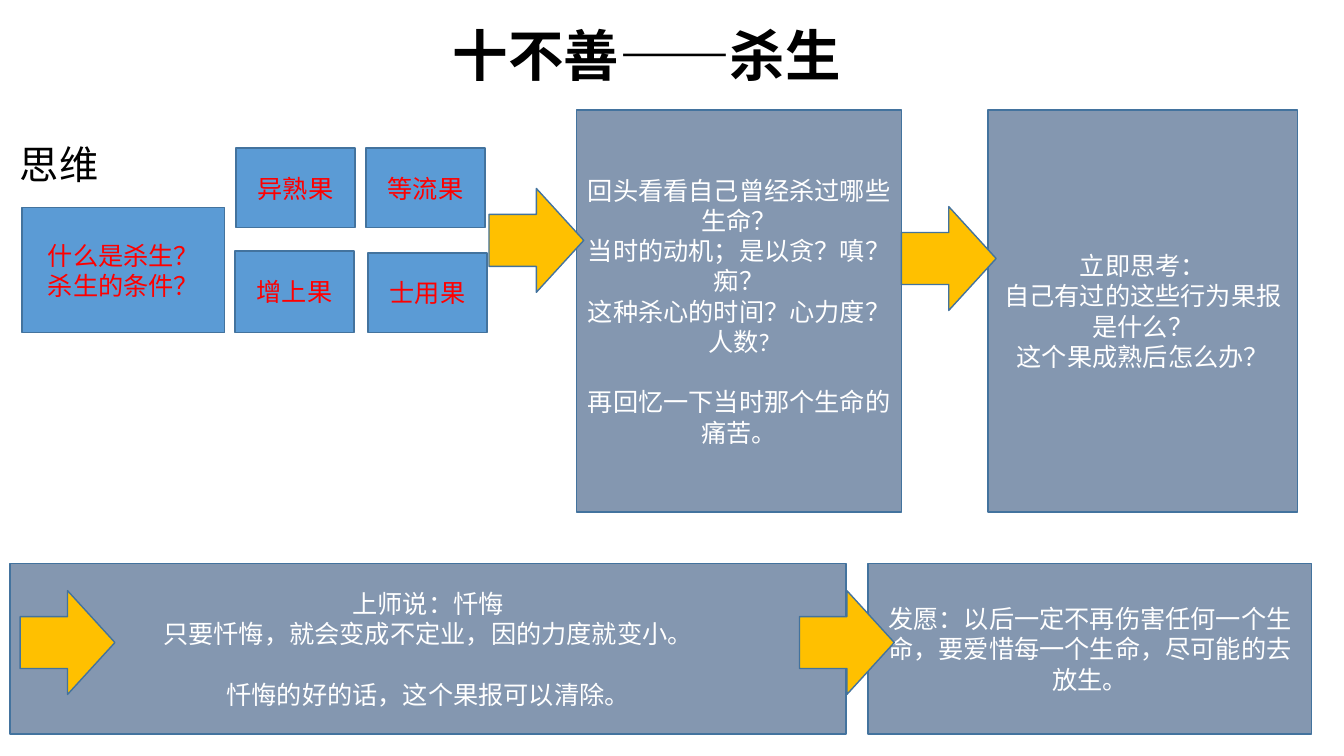
import pptx
import pptx.util
import pptx.dml.color
import pptx.enum.shapes
import pptx.enum.text
from dataclasses import dataclass

Inches = pptx.util.Inches
Pt = pptx.util.Pt
RGBColor = pptx.dml.color.RGBColor
MSO_SHAPE = pptx.enum.shapes.MSO_SHAPE
MSO_ANCHOR = pptx.enum.text.MSO_ANCHOR
PP_ALIGN = pptx.enum.text.PP_ALIGN


@dataclass(frozen=True)
class Theme:
    black: RGBColor = RGBColor.from_string("000000")
    white: RGBColor = RGBColor.from_string("FFFFFF")
    red: RGBColor = RGBColor.from_string("FF0000")
    blue: RGBColor = RGBColor.from_string("5B9BD5")
    slate: RGBColor = RGBColor.from_string("8497B0")
    amber: RGBColor = RGBColor.from_string("FFC000")
    outline: RGBColor = RGBColor.from_string("43739E")
    title_font: str = "Montserrat"
    body_font: str = "Calibri"
    title_size: Pt = Pt(39.6)
    heading_size: Pt = Pt(28)
    text_size: Pt = Pt(18)
    section_gap: Pt = Pt(21.6)


theme = Theme()


def write(frame, lines, font, size, color, align, bold=False):
    frame.word_wrap = True
    frame.auto_size = pptx.enum.text.MSO_AUTO_SIZE.NONE
    for index, line in enumerate(lines):
        paragraph = frame.paragraphs[0] if index == 0 else frame.add_paragraph()
        paragraph.text = line
        paragraph.alignment = align
        paragraph.font.name = font
        paragraph.font.size = size
        paragraph.font.bold = bold
        paragraph.font.color.rgb = color


def add_block(kind, place, fill):
    shape = slide.shapes.add_shape(kind, *map(Inches, place))
    shape.shadow.inherit = False
    shape.fill.solid()
    shape.fill.fore_color.rgb = fill
    shape.line.color.rgb = theme.outline
    shape.line.width = Pt(1)
    return shape


presentation = pptx.Presentation()
presentation.slide_width = Inches(13.33)
presentation.slide_height = Inches(7.5)
slide = presentation.slides.add_slide(presentation.slide_layouts[5])

title = slide.shapes.title
title.left, title.top, title.width, title.height = map(Inches, (1.14, 0.27, 10.55, 0.62))
title.text_frame.vertical_anchor = MSO_ANCHOR.MIDDLE
write(title.text_frame, ["十不善——杀生"], theme.title_font, theme.title_size,
      theme.black, PP_ALIGN.CENTER, bold=True)
title.text_frame.paragraphs[0].line_spacing = 0.9

heading = slide.shapes.add_textbox(Inches(0.1), Inches(1.4), Inches(2), Inches(0.55))
write(heading.text_frame, ["思维"], theme.body_font, theme.heading_size,
      theme.black, PP_ALIGN.LEFT)
heading.text_frame.paragraphs[0].line_spacing = 0.9

concepts = [
    ((0.22, 2.06, 2.01, 1.24), ["什么是杀生？", "杀生的条件？"]),
    ((2.34, 1.47, 1.18, 0.79), ["异熟果"]),
    ((3.63, 1.47, 1.18, 0.79), ["等流果"]),
    ((2.33, 2.49, 1.18, 0.81), ["增上果"]),
    ((3.65, 2.51, 1.18, 0.79), ["士用果"]),
]
reflections = [
    ((5.72, 1.09, 3.22, 3.99), [
        "回头看看自己曾经杀过哪些生命？",
        "当时的动机；是以贪？嗔？痴？",
        "这种杀心的时间？心力度？人数?",
        "再回忆一下当时那个生命的痛苦。",
    ]),
    ((9.8, 1.09, 3.07, 3.99), [
        "立即思考：",
        "自己有过的这些行为果报是什么？",
        "这个果成熟后怎么办？",
    ]),
    ((0.1, 5.59, 8.29, 1.69), [
        "上师说：忏悔",
        "只要忏悔，就会变成不定业，因的力度就变小。",
        "忏悔的好的话，这个果报可以清除。",
    ]),
    ((8.61, 5.59, 4.4, 1.69), [
        "发愿：以后一定不再伤害任何一个生命，要爱惜每一个生命，尽可能的去放生。",
    ]),
]
separate_endings = ("再回忆一下当时那个生命的痛苦。", "忏悔的好的话，这个果报可以清除。")

for blocks, fill, color in (
    (concepts, theme.blue, theme.red),
    (reflections, theme.slate, theme.white),
):
    for place, lines in blocks:
        block = add_block(MSO_SHAPE.RECTANGLE, place, fill)
        block.text_frame.vertical_anchor = MSO_ANCHOR.MIDDLE
        write(block.text_frame, lines, theme.body_font, theme.text_size, color, PP_ALIGN.CENTER)
        if lines[-1] in separate_endings:
            block.text_frame.paragraphs[-1].space_before = theme.section_gap

for left, top in ((4.85, 1.87), (8.94, 2.05), (7.93, 5.86), (0.2, 5.86)):
    add_block(MSO_SHAPE.RIGHT_ARROW, (left, top, 0.94, 1.03), theme.amber)

presentation.save("out.pptx")
